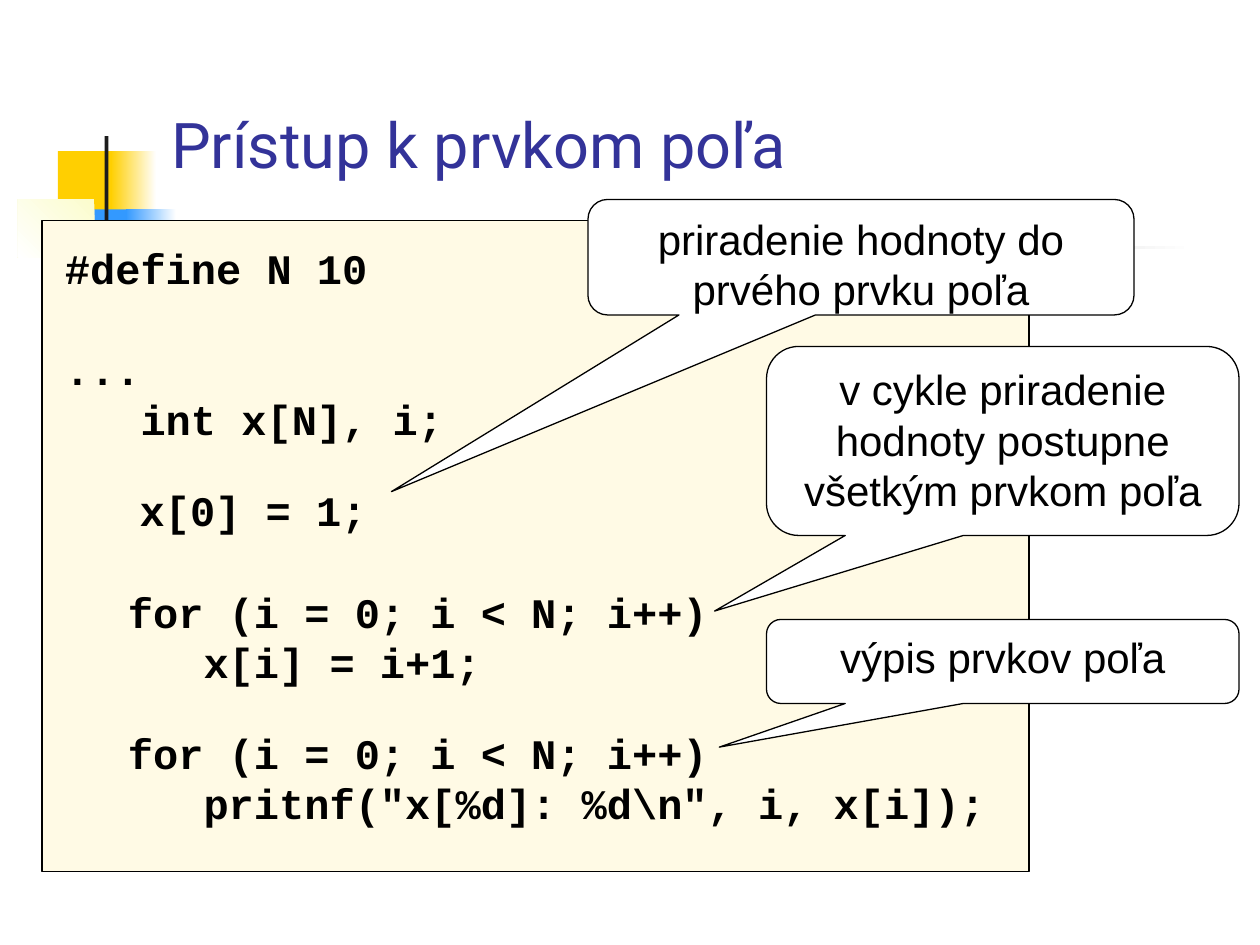
from pptx import Presentation
from pptx.dml.color import RGBColor
from pptx.enum.shapes import MSO_SHAPE
from pptx.enum.text import MSO_ANCHOR, PP_ALIGN
from pptx.util import Pt

RECTANGLE = MSO_SHAPE.RECTANGLE
CALLOUT = MSO_SHAPE.ROUNDED_RECTANGULAR_CALLOUT
BOTTOM = MSO_ANCHOR.BOTTOM
TOP = MSO_ANCHOR.TOP
LEFT = PP_ALIGN.LEFT
CENTER = PP_ALIGN.CENTER

WHITE = RGBColor(0xFF, 0xFF, 0xFF)
BLACK = RGBColor(0, 0, 0)
GOLD = RGBColor(0xFF, 0xCF, 0x01)
BLUE = RGBColor(0x33, 0x99, 0xFF)
PALE_YELLOW = RGBColor(0xFB, 0xFC, 0xCC)
CHARCOAL = RGBColor(0x1C, 0x1C, 0x1C)
INDIGO = RGBColor(0x33, 0x33, 0x99)
CREAM = RGBColor(0xFF, 0xFA, 0xE5)

LINE_PITCH = Pt(28.8)


def add_block(slide, box, colors, angle=180, preset=RECTANGLE, outlined=False):
    """Add a shape filled with one colour, or with a gradient between two."""
    block = slide.shapes.add_shape(preset, *map(Pt, box))
    block.shadow.inherit = False
    if len(colors) == 1:
        block.fill.solid()
        block.fill.fore_color.rgb = colors[0]
    else:
        block.fill.gradient()
        block.fill.gradient_angle = angle
        for stop, color in zip(block.fill.gradient_stops, colors):
            stop.color.rgb = color
    if outlined:
        block.line.color.rgb = BLACK
        block.line.width = Pt(0.75)
    else:
        block.line.fill.background()
    return block


def write(shape, text, font, size, color=BLACK, bold=False, align=LEFT,
          anchor=TOP, top_inset=3.6, pitch=None):
    frame = shape.text_frame
    frame.word_wrap = True
    frame.vertical_anchor = anchor
    frame.margin_top = Pt(top_inset)
    frame.text = text
    for paragraph in frame.paragraphs:
        paragraph.alignment = align
        paragraph.line_spacing = pitch
        for run in paragraph.runs:
            run.font.name = font
            run.font.size = Pt(size)
            run.font.bold = bold
            run.font.color.rgb = color
    return frame


def add_ornament(slide, left, top):
    """Add the coloured squares, upright bar and rule beside the title."""
    parts = [
        ((23, 8.6, 34.6, 37.4), [GOLD], 180),
        ((53.3, 8.6, 25.9, 37.4), [WHITE, GOLD], 180),
        ((32.4, 41.8, 33.1, 37.4), [BLUE], 180),
        ((61.9, 41.8, 28.8, 37.4), [WHITE, BLUE], 180),
        ((0, 36, 43.9, 33.1), [PALE_YELLOW, WHITE], 225),
        ((49.7, 0, 2.2, 82.8), [CHARCOAL], 180),
        ((24.5, 62.6, 648, 2.2), [WHITE, CHARCOAL], 180),
    ]
    for (x, y, width, height), colors, angle in parts:
        add_block(slide, (left + x, top + y, width, height), colors, angle)


def add_title(slide, box):
    title = slide.shapes.add_textbox(*map(Pt, box))
    write(title, "Prístup k prvkom poľa", "Roboto", 36, INDIGO, anchor=BOTTOM)


def add_code(slide, box, text):
    code = slide.shapes.add_textbox(*map(Pt, box))
    return write(code, text, "Courier New", 24, bold=True, top_inset=6.6,
                 pitch=LINE_PITCH)


def add_listing(slide, box):
    left, top, width, height = box
    add_block(slide, box, [CREAM], outlined=True)
    declarations = add_code(slide, (left + 6, top + 6, 408, 122.4),
                            "#define N 10\n...\n   int x[N], i;")
    declarations.paragraphs[1].space_before = LINE_PITCH
    add_code(slide, (left + 48.7, top + 144, 168, 64.8), "x[0] = 1;")
    loop = "for (i = 0; i < N; i++)\n   "
    add_code(slide, (left + 42, top + 202.3, 408, 64.8), loop + "x[i] = i+1;")
    add_code(slide, (left + 42, top + 283, 522, 64.8),
             loop + 'pritnf("x[%d]: %d\\n", i, x[i]);')


def add_callout(slide, box, tip, text):
    """Add a callout; tip is its offset from the centre in widths and heights."""
    callout = add_block(slide, box, [WHITE], preset=CALLOUT, outlined=True)
    for index, value in enumerate((*tip, 0.17)):
        callout.adjustments[index] = value
    write(callout, text, "Arial", 24, align=CENTER, top_inset=4.6,
          pitch=LINE_PITCH)


def main():
    presentation = Presentation()
    presentation.slide_width = Pt(720)
    presentation.slide_height = Pt(540)
    slide = presentation.slides.add_slide(presentation.slide_layouts[6])

    add_ornament(slide, 10.1, 77.8)
    add_title(slide, (90.7, 48.2, 613.4, 59))
    add_listing(slide, (24, 126, 564, 372))
    add_callout(slide, (336, 114, 312, 66), (-0.86, 2.03),
                "priradenie hodnoty do prvého prvku poľa")
    add_callout(slide, (438, 198, 270, 108), (-0.61, 0.9),
                "v cykle priradenie hodnoty postupne všetkým prvkom poľa")
    add_callout(slide, (438, 354, 270, 48), (-0.6, 1.02), "výpis prvkov poľa")

    presentation.save("out.pptx")


if __name__ == "__main__":
    main()
